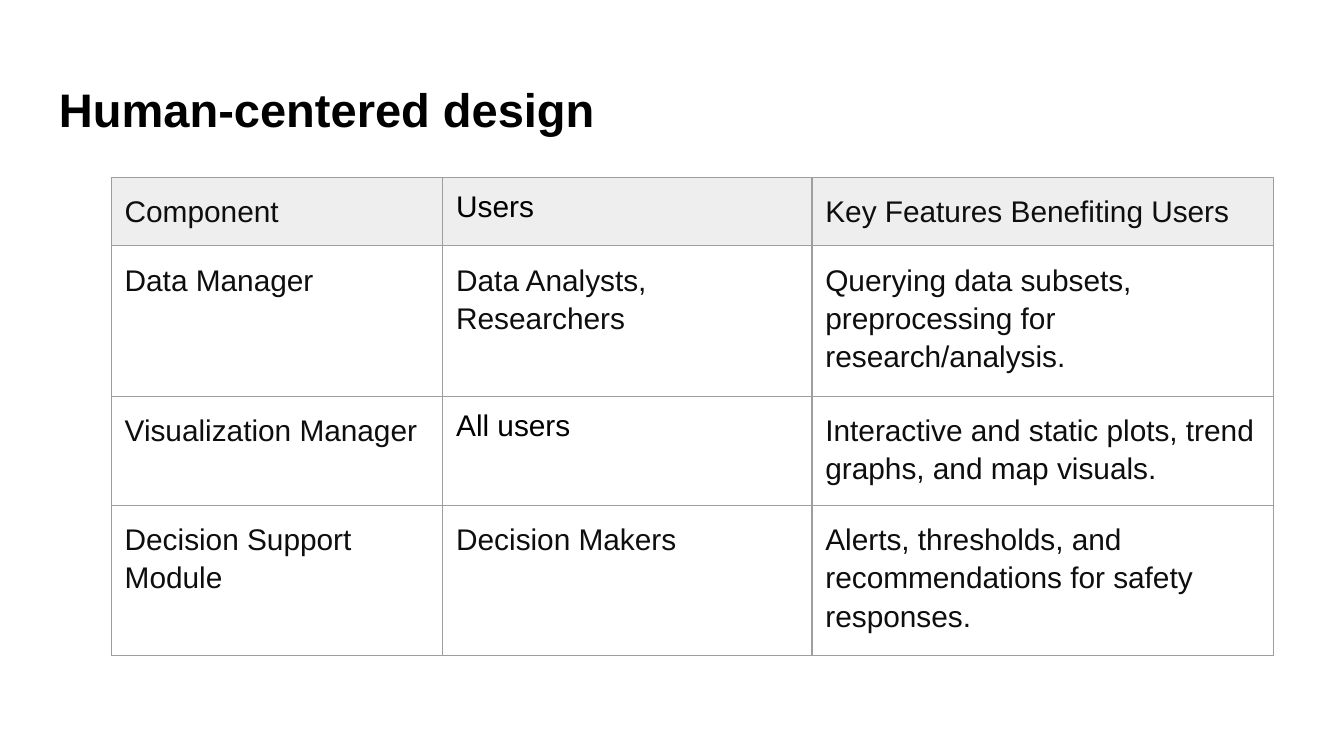
"""Build the human-centered design slide with its table of components."""
from lxml import etree
from pptx import Presentation
from pptx.dml.color import RGBColor
from pptx.enum import text
from pptx.oxml import ns
from pptx.util import Pt

TITLE = "Human-centered design"
ROWS = [
    ("Component", "Users", "Key Features Benefiting Users"),
    ("Data Manager", "Data Analysts, Researchers",
     "Querying data subsets, preprocessing for research/analysis."),
    ("Visualization Manager", "All users",
     "Interactive and static plots, trend graphs, and map visuals."),
    ("Decision Support Module", "Decision Makers",
     "Alerts, thresholds, and recommendations for safety responses."),
]
WIDTHS = (177.6, 197.8, 247.4)
HEIGHTS = (34.8, 75.8, 55.4, 75.6)
PLAIN = ("Users", "All users")
PAD = Pt(7.2)
INK, BLACK, GRAY, LINE = "0E0E0E", "000000", "EEEEEE", "9E9E9E"


def color(code):
    return RGBColor.from_string(code)


def style(par, size, ink, bold=False):
    par.alignment = text.PP_ALIGN.LEFT
    for run in par.runs:
        font = run.font
        font.name, font.size, font.bold = "Arial", Pt(size), bold
        font.color.rgb = color(ink)


def pad(box):
    box.margin_left = box.margin_right = PAD
    box.margin_top = box.margin_bottom = PAD


def border(cell):
    props = cell._tc.get_or_add_tcPr()
    for spot, side in enumerate(("lnL", "lnR", "lnT", "lnB")):
        line = etree.Element(ns.qn(f"a:{side}"), w=str(Pt(0.75)))
        fill = etree.SubElement(line, ns.qn("a:solidFill"))
        etree.SubElement(fill, ns.qn("a:srgbClr"), val=LINE)
        props.insert(spot, line)


def add_title(slide):
    box = slide.shapes.add_textbox(Pt(24.5), Pt(35.3), Pt(671), Pt(45.4))
    frame = box.text_frame
    frame.word_wrap = True
    frame.vertical_anchor = text.MSO_ANCHOR.BOTTOM
    pad(frame)
    frame.text = TITLE
    style(frame.paragraphs[0], 25.2, BLACK, True)


def fill_cell(cell, words, head):
    cell.text = words
    pad(cell)
    cell.vertical_anchor = text.MSO_ANCHOR.TOP
    par = cell.text_frame.paragraphs[0]
    plain = words in PLAIN
    if not plain:
        par.line_spacing = 1.15
    style(par, 16, BLACK if plain else INK)
    if head:
        cell.fill.solid()
        cell.fill.fore_color.rgb = color(GRAY)
    else:
        cell.fill.background()
    border(cell)


def add_grid(slide):
    grid = slide.shapes.add_table(
        len(ROWS), len(WIDTHS), Pt(59.6), Pt(95.2),
        Pt(sum(WIDTHS)), Pt(sum(HEIGHTS))).table
    grid.first_row = grid.horz_banding = False
    for col, width in zip(grid.columns, WIDTHS):
        col.width = Pt(width)
    for i, (row, height) in enumerate(zip(grid.rows, HEIGHTS)):
        row.height = Pt(height)
        for cell, words in zip(row.cells, ROWS[i]):
            fill_cell(cell, words, i == 0)


def main():
    deck = Presentation()
    deck.slide_width, deck.slide_height = Pt(720), Pt(405)
    slide = deck.slides.add_slide(deck.slide_layouts[6])
    add_title(slide)
    add_grid(slide)
    deck.save("out.pptx")


if __name__ == "__main__":
    main()
